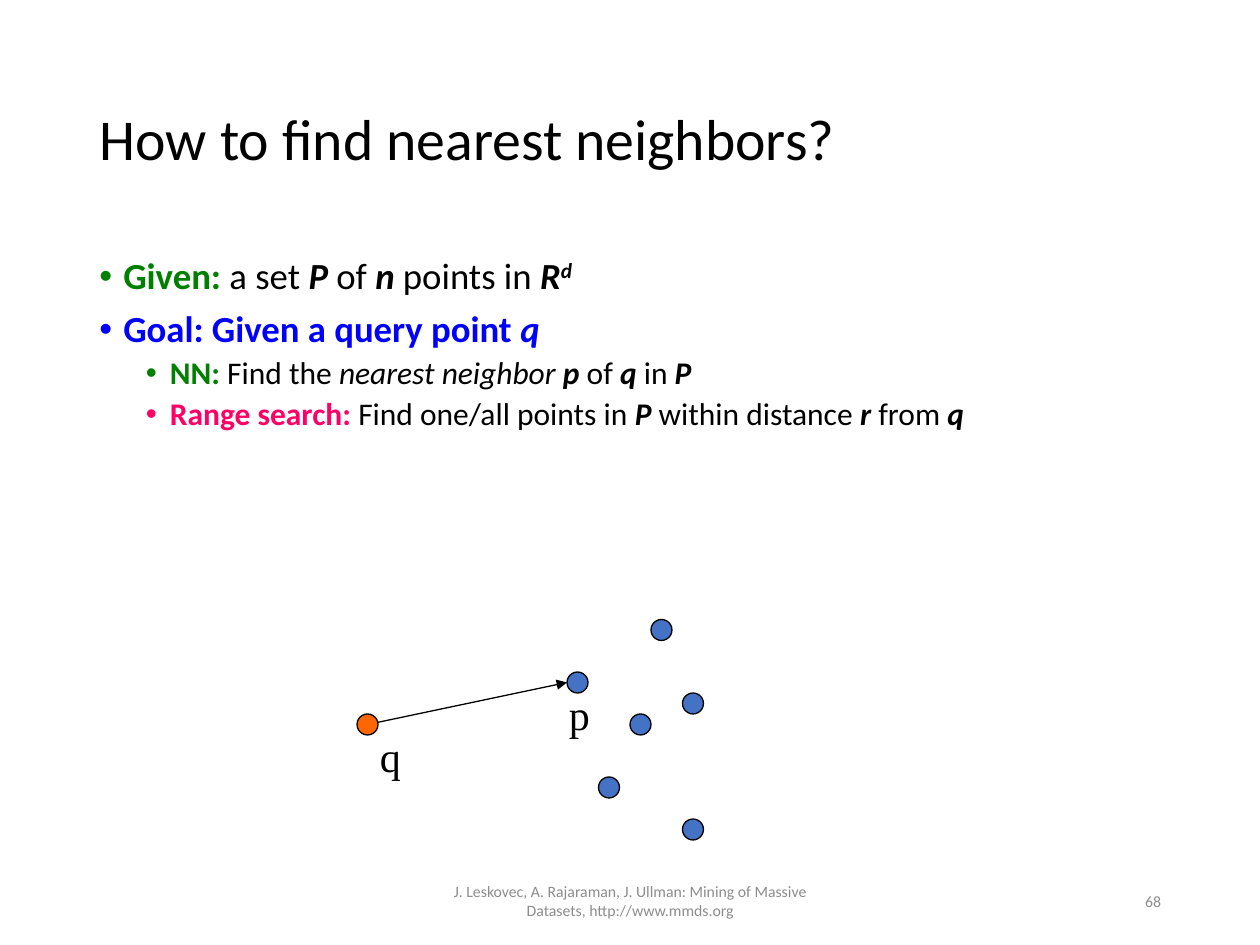
from lxml import etree
from pptx import Presentation
from pptx import util as u
from pptx.dml.color import RGBColor
from pptx.enum import shapes, text
from pptx.oxml import ns

BLACK, GREEN, BLUE, PINK, GREY = "000000", "008000", "0000FF", "FF0066", "8C8C8C"
LEFT, CENTER, RIGHT = text.PP_ALIGN.LEFT, text.PP_ALIGN.CENTER, text.PP_ALIGN.RIGHT
TOP, MIDDLE = text.MSO_ANCHOR.TOP, text.MSO_ANCHOR.MIDDLE

presentation = Presentation()
presentation.slide_width, presentation.slide_height = u.Inches(10), u.Inches(7.5)
CELL = presentation.slide_width // 120  # the drawing sits on a 120 by 90 grid
slide = presentation.slides.add_slide(presentation.slide_layouts[5])


def color(value):
    return RGBColor.from_string(value)


def add_run(paragraph, words, value, **formats):
    run = paragraph.add_run()
    run.text = words
    for name, setting in ({"name": "Calibri"} | formats).items():
        setattr(run.font, name, setting)
    run.font.color.rgb = color(value)
    return run


# Title
title = slide.shapes.title
title.left, title.top, title.width, title.height = map(u.Inches, (0.69, 0.4, 8.62, 1.45))
title.text_frame.vertical_anchor = MIDDLE
paragraph = title.text_frame.paragraphs[0]
paragraph.alignment, paragraph.line_spacing = LEFT, 0.9
add_run(paragraph, "How to find nearest neighbors?", BLACK, size=u.Pt(33))

# Bulleted statement: level, then runs of words, style letters (b, i, ^) and colour
statement = [
    (0, [("Given:", "b", GREEN), (" a set ", "", BLACK), ("P", "bi", BLACK), (" of ", "", BLACK),
         ("n", "bi", BLACK), (" points in ", "", BLACK), ("R", "bi", BLACK), ("d", "bi^", BLACK)]),
    (0, [("Goal: Given a query point ", "b", BLUE), ("q", "bi", BLUE)]),
    (1, [("NN: ", "b", GREEN), ("Find the ", "", BLACK), ("nearest neighbor ", "i", BLACK),
         ("p", "bi", BLACK), (" of ", "", BLACK), ("q ", "bi", BLACK), ("in ", "", BLACK),
         ("P", "bi", BLACK)]),
    (1, [("Range search: ", "b", PINK), ("Find one/all points in ", "", BLACK), ("P", "bi", BLACK),
         (" within distance ", "", BLACK), ("r ", "bi", BLACK), ("from ", "", BLACK),
         ("q", "bi", BLACK)]),
]
body = slide.shapes.add_textbox(*map(u.Inches, (0.69, 2, 8.62, 4.76))).text_frame
body.word_wrap = True
for index, (level, runs) in enumerate(statement):
    paragraph = body.add_paragraph() if index else body.paragraphs[0]
    paragraph.level, paragraph.line_spacing = level, 0.9
    if index:
        paragraph.space_before = u.Pt((7.5, 3.8)[level])
    properties = paragraph._p.get_or_add_pPr()
    properties.set("marL", str(u.Inches((0.19, 0.56)[level])))
    properties.set("indent", str(-u.Inches(0.19)))
    etree.SubElement(properties, ns.qn("a:buFont")).set("typeface", "Arial")
    etree.SubElement(properties, ns.qn("a:buChar")).set("char", "•")
    for words, style, value in runs:
        run = add_run(paragraph, words, value, size=u.Pt((21, 18)[level]),
                      bold="b" in style, italic="i" in style)
        if "^" in style:
            run._r.get_or_add_rPr().set("baseline", "30000")

# Arrow from the query point to its nearest neighbor
arrow = slide.shapes.add_connector(shapes.MSO_CONNECTOR.STRAIGHT,
                                   35 * CELL, 69 * CELL, 54 * CELL, 65 * CELL)
arrow.line.color.rgb, arrow.line.width = color(BLACK), u.Pt(0.75)
etree.SubElement(arrow.line._get_or_add_ln(), ns.qn("a:tailEnd")).set("type", "triangle")
etree.SubElement(arrow._element.spPr, ns.qn("a:effectLst"))

# Points: the query first, then the set P
points = [(34, 68), (62, 59), (54, 64), (65, 66), (60, 68), (65, 78), (57, 74)]
for index, (column, row) in enumerate(points):
    point = slide.shapes.add_shape(shapes.MSO_SHAPE.FLOWCHART_CONNECTOR,
                                   column * CELL, row * CELL, 2 * CELL, 2 * CELL)
    point.shadow.inherit = False
    point.fill.solid()
    point.fill.fore_color.rgb = color("4472C4" if index else "FF6600")
    point.line.color.rgb, point.line.width = color(BLACK), u.Pt(0.75)

# Point labels, footer and slide number
times = {"name": "Times New Roman", "size": u.Pt(24)}
small = {"size": u.Pt(9)}
footer = "J. Leskovec, A. Rajaraman, J. Ullman: Mining of Massive Datasets, http://www.mmds.org"
labels = [
    ("q", (35, 69, 4.4, 6), LEFT, TOP, False, BLACK, times),
    ("p", (53, 65, 4.4, 6), LEFT, TOP, False, BLACK, times),
    (footer, (39.75, 83.4, 40.5, 4.8), CENTER, MIDDLE, True, GREY, small),
    ("68", (84.75, 83.4, 27, 4.8), RIGHT, MIDDLE, True, GREY, small),
]
for words, cells, alignment, anchor, wrap, value, formats in labels:
    frame = slide.shapes.add_textbox(*(int(cell * CELL) for cell in cells)).text_frame
    frame.word_wrap, frame.vertical_anchor = wrap, anchor
    frame.paragraphs[0].alignment = alignment
    add_run(frame.paragraphs[0], words, value, **formats)

presentation.save("out.pptx")
